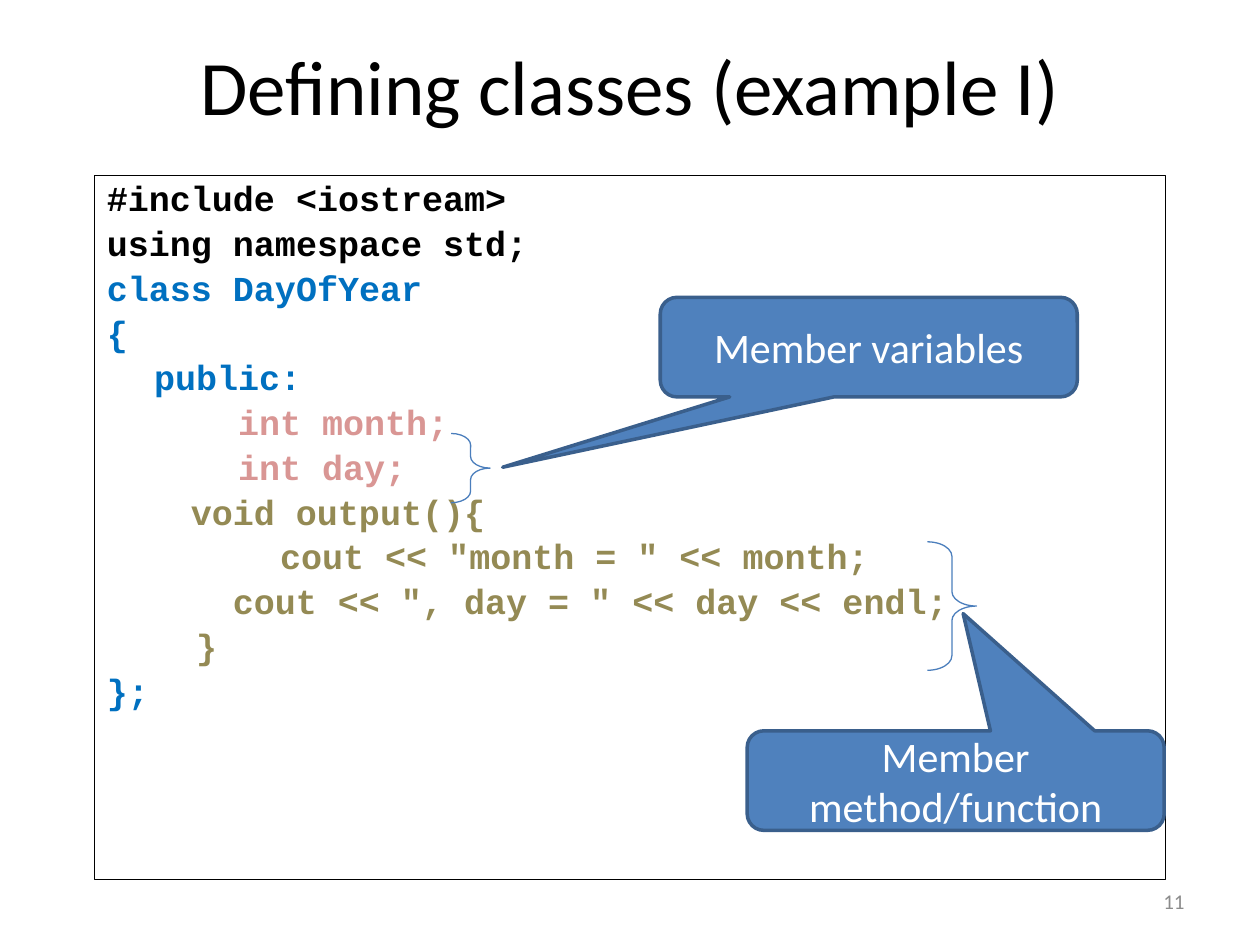
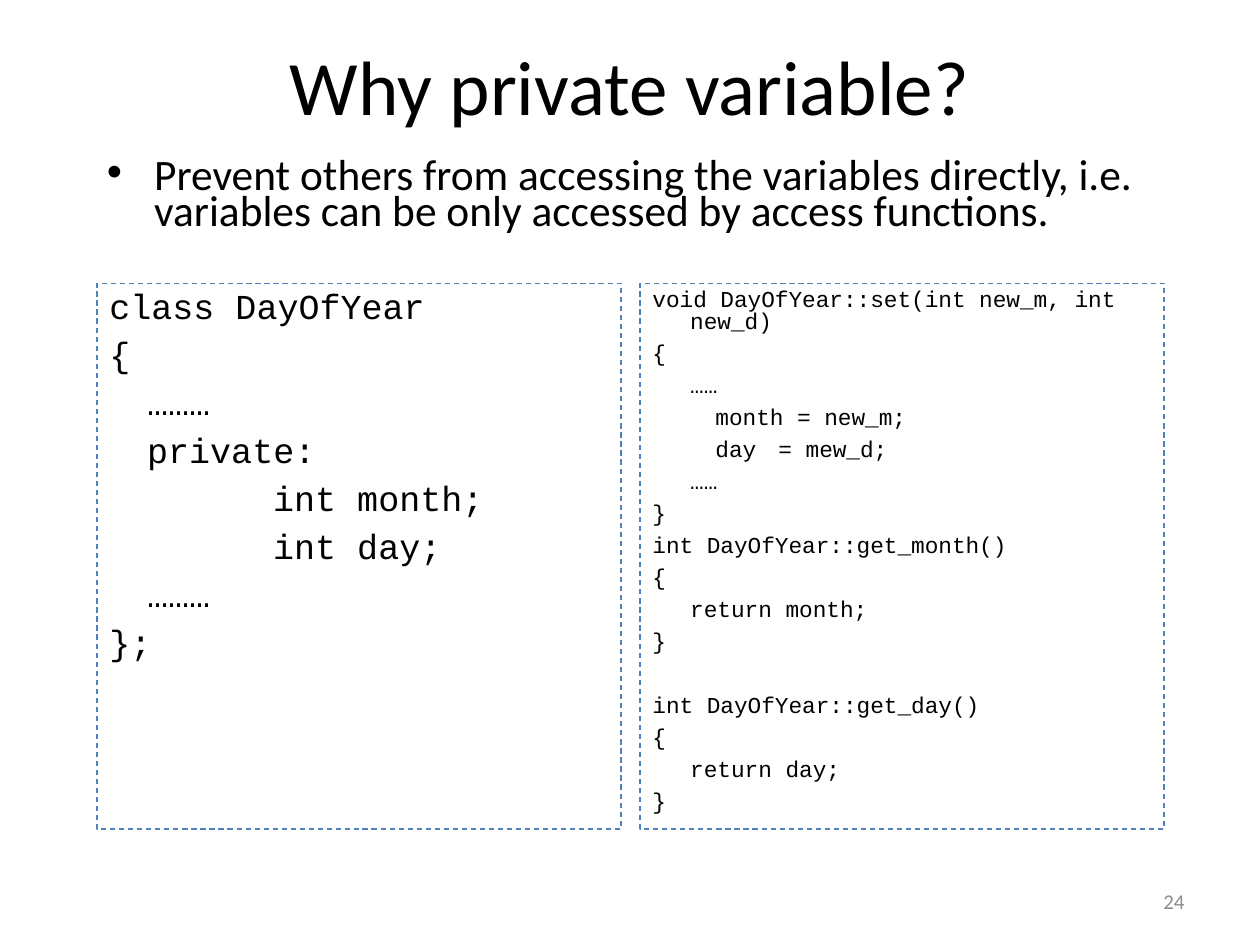
"""Builds two slides on C++ classes: an annotated example and private variables."""
import pptx
import pptx.dml.color
import pptx.enum.dml
import pptx.enum.shapes
import pptx.enum.text
import pptx.oxml.ns
import pptx.util
from lxml import etree

Pt = pptx.util.Pt
SHAPE = pptx.enum.shapes.MSO_SHAPE
ALIGN = pptx.enum.text.PP_ALIGN
ANCHOR = pptx.enum.text.MSO_ANCHOR

COLORS = {
    "text": "000000", "keyword": "0070C0", "variable": "D99694",
    "method": "948A54", "accent": "4F81BD", "edge": "3A5F8C",
    "brace": "4B7EBC", "number": "8C8C8C", "white": "FFFFFF",
}
BODY_FONT, CODE_FONT = "Calibri", "Courier New"
TITLE_AREA = (36, 3.6, 648, 90)
NUMBER_AREA = (516.24, 500.4, 167.76, 28.8)
TAB_STOPS = (39, 85.8)

EXAMPLE = {
    "title": "Defining classes (example I)",
    "number": "11",
    "area": (54, 100.08, 612, 402.48),
    "code": [
        (0, "#include <iostream>", "text"),
        (0, "using namespace std;", "text"),
        (0, "class DayOfYear", "keyword"),
        (0, "{", "keyword"),
        (27, "public:", "keyword"),
        (75, "int month;", "variable"),
        (75, "int day;", "variable"),
        (48, "void output(){", "method"),
        (99, 'cout << "month = " << month;', "method"),
        (72, 'cout << ", day = " << day << endl;', "method"),
        (51, "}", "method"),
        (0, "};", "keyword"),
    ],
    "callouts": [
        ("Member variables", (377.28, 169.92), (-0.878, 1.207, 0.167)),
        ("Member method/function", (426.96, 417.6), (0.018, -1.677, 0.167)),
    ],
    "callout_size": (238.32, 56.88),
    "braces": [(529.92, 309.6, 28.08, 73.44), (257.76, 247.68, 22.32, 39.6)],
}

PRIVATE = {
    "title": "Why private variable?",
    "number": "24",
    "bullet": "Prevent others from accessing the variables directly, i.e. "
              "variables can be only accessed by access functions.",
    "bullet_area": (54, 88.56, 612, 73.44),
    "panel_left": 55.44, "panel_top": 162, "panel_step": 310.32,
    "panel_size": (299.52, 311.76),
    "panels": [
        (20, 0.9, [
            (0, "class DayOfYear"), (0, "{"), (21.6, "………"),
            (21.6, "private:"), (93.6, "int month;"), (93.6, "int day;"),
            (21.6, "………"), (0, "};"),
        ]),
        (13, 0.8, [
            (0, "void DayOfYear::set(int new_m, int new_d)"), (0, "{"),
            (21.6, "……"), (0, "\tmonth = new_m;"), (0, "\tday\t= mew_d;"),
            (21.6, "……"), (0, "}"),
            (0, "int DayOfYear::get_month()"), (0, "{"),
            (21.6, "return month;"), (0, "}"),
            (0, "int DayOfYear::get_day()", "text", 18.3), (0, "{"),
            (21.6, "return day;"), (0, "}"),
        ]),
    ],
}


def rgb(name):
    return pptx.dml.color.RGBColor.from_string(COLORS[name])


def points(values):
    return [Pt(value) for value in values]


def add_span(para, text, size, color="text", font=BODY_FONT, bold=False):
    span = para.add_run()
    span.text = text
    span.font.size = Pt(size)
    span.font.name = font
    span.font.bold = bold
    span.font.color.rgb = rgb(color)


def set_indent(para, left, first):
    properties = para._p.get_or_add_pPr()
    properties.set("marL", str(int(Pt(left))))
    properties.set("indent", str(int(Pt(first))))
    return properties


def add_shape(page, kind, area, line, width=0.75, fill=None):
    box = page.shapes.add_shape(kind, *points(area))
    box.shadow.inherit = False
    if fill:
        box.fill.solid()
        box.fill.fore_color.rgb = rgb(fill)
    else:
        box.fill.background()
    box.line.color.rgb = rgb(line)
    box.line.width = Pt(width)
    return box


def add_page(deck, content):
    page = deck.slides.add_slide(deck.slide_layouts[5])
    title = page.shapes.title
    title.left, title.top, title.width, title.height = points(TITLE_AREA)
    title.text_frame.vertical_anchor = ANCHOR.MIDDLE
    para = title.text_frame.paragraphs[0]
    para.alignment = ALIGN.CENTER
    add_span(para, content["title"], 44)

    number = page.shapes.add_textbox(*points(NUMBER_AREA))
    number.text_frame.word_wrap = True
    number.text_frame.vertical_anchor = ANCHOR.MIDDLE
    para = number.text_frame.paragraphs[0]
    para.alignment = ALIGN.RIGHT
    add_span(para, content["number"], 12, "number")
    return page


def fill_code(box, lines, size, spacing, before, hang, bold=False):
    frame = box.text_frame
    frame.word_wrap = True
    frame.vertical_anchor = ANCHOR.TOP
    for index, (offset, text, *style) in enumerate(lines):
        color, gap = (style + ["text", 0][len(style):])
        para = frame.paragraphs[0] if index == 0 else frame.add_paragraph()
        para.alignment = ALIGN.LEFT
        para.line_spacing = spacing
        para.space_before = Pt(before + gap)
        tabbed = "\t" in text
        overhang = 0 if tabbed else hang
        properties = set_indent(para, offset + overhang, -overhang)
        if tabbed:
            stops = etree.SubElement(properties, pptx.oxml.ns.qn("a:tabLst"))
            for stop in TAB_STOPS:
                etree.SubElement(stops, pptx.oxml.ns.qn("a:tab"),
                                 pos=str(int(Pt(stop))), algn="l")
        add_span(para, text, size, color, CODE_FONT, bold)


def build_example(deck):
    page = add_page(deck, EXAMPLE)
    box = add_shape(page, SHAPE.RECTANGLE, EXAMPLE["area"], "text")
    fill_code(box, EXAMPLE["code"], 20, 0.9, 4, 27, bold=True)
    for label, corner, adjustments in EXAMPLE["callouts"]:
        callout = add_shape(page, SHAPE.ROUNDED_RECTANGULAR_CALLOUT,
                            corner + EXAMPLE["callout_size"], "edge", 2, "accent")
        for index, value in enumerate(adjustments):
            callout.adjustments[index] = value
        callout.text_frame.word_wrap = True
        callout.text_frame.vertical_anchor = ANCHOR.MIDDLE
        para = callout.text_frame.paragraphs[0]
        para.alignment = ALIGN.CENTER
        add_span(para, label, 24, "white")
    for area in EXAMPLE["braces"]:
        brace = add_shape(page, SHAPE.RIGHT_BRACE, area, "brace")
        brace.adjustments[0] = 0.297


def build_private(deck):
    page = add_page(deck, PRIVATE)
    box = page.shapes.add_textbox(*points(PRIVATE["bullet_area"]))
    box.text_frame.word_wrap = True
    para = box.text_frame.paragraphs[0]
    para.line_spacing = 0.7
    para.space_before = Pt(5)
    properties = set_indent(para, 27, -27)
    etree.SubElement(properties, pptx.oxml.ns.qn("a:buFont"), typeface="Arial")
    etree.SubElement(properties, pptx.oxml.ns.qn("a:buChar"), char="•")
    add_span(para, PRIVATE["bullet"], 24.8)

    for column, (size, spacing, lines) in enumerate(PRIVATE["panels"]):
        left = PRIVATE["panel_left"] + column * PRIVATE["panel_step"]
        area = (left, PRIVATE["panel_top"]) + PRIVATE["panel_size"]
        panel = add_shape(page, SHAPE.RECTANGLE, area, "accent")
        panel.line.dash_style = pptx.enum.dml.MSO_LINE.DASH
        fill_code(panel, lines, size, spacing, 5.8, 21.6)


def main():
    deck = pptx.Presentation()
    deck.slide_width, deck.slide_height = Pt(720), Pt(540)
    build_example(deck)
    build_private(deck)
    deck.save("out.pptx")


if __name__ == "__main__":
    main()
